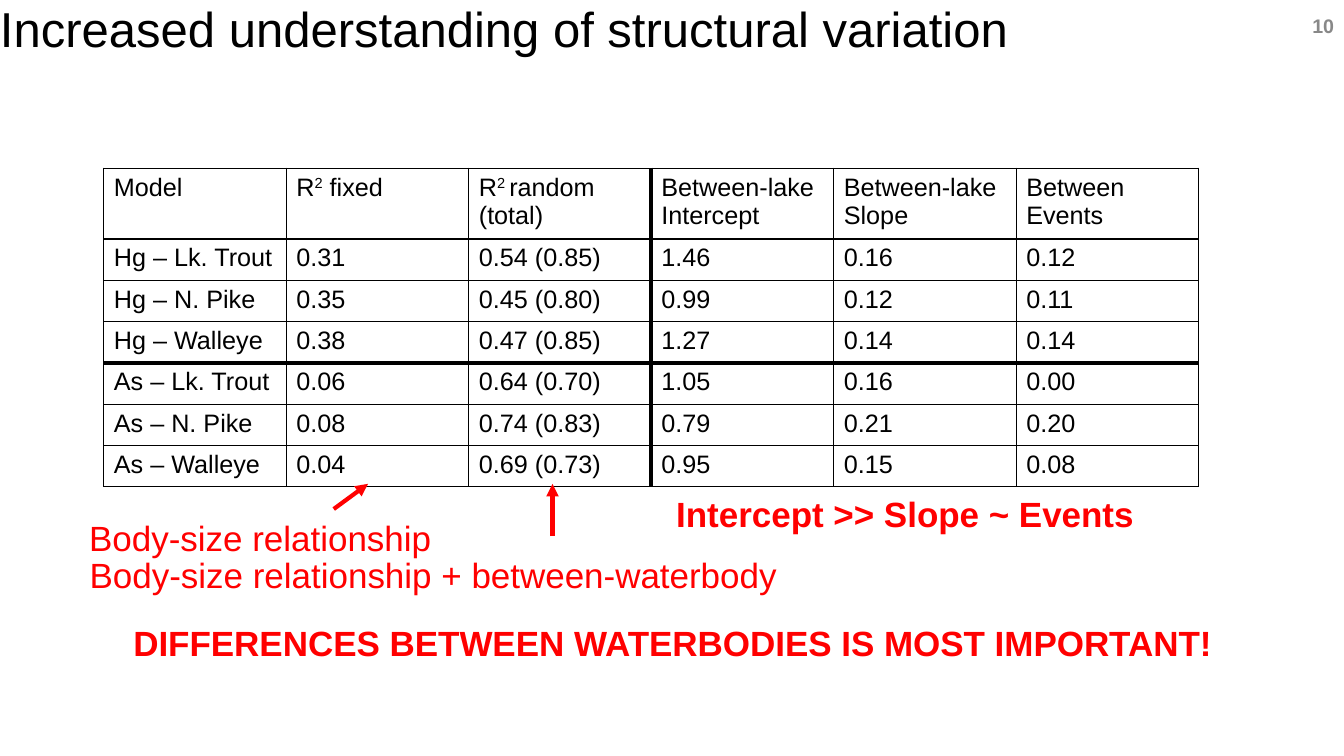
from lxml import etree
from pptx import Presentation
from pptx.dml.color import RGBColor
from pptx.enum.shapes import MSO_CONNECTOR
from pptx.enum.text import MSO_ANCHOR, PP_ALIGN
from pptx.oxml.ns import qn
from pptx.util import Inches, Pt

BLACK = RGBColor(0x00, 0x00, 0x00)
RED = RGBColor(0xFF, 0x00, 0x00)
GRAY = RGBColor(0x88, 0x88, 0x88)
FONT = "Arial"

# Content: text between carets is superscript, a line break starts a paragraph
TITLE = "Increased understanding of structural variation"
PAGE_NUMBER = "10"
MODEL_ROWS = [
    ("Model", "R^2^ fixed", "R^2 ^random (total)", "Between-lake\nIntercept",
     "Between-lake\nSlope", "Between\nEvents"),
    ("Hg – Lk. Trout", "0.31", "0.54 (0.85)", "1.46", "0.16", "0.12"),
    ("Hg – N. Pike", "0.35", "0.45 (0.80)", "0.99", "0.12", "0.11"),
    ("Hg – Walleye", "0.38", "0.47 (0.85)", "1.27", "0.14", "0.14"),
    ("As – Lk. Trout", "0.06", "0.64 (0.70)", "1.05", "0.16", "0.00"),
    ("As – N. Pike", "0.08", "0.74 (0.83)", "0.79", "0.21", "0.20"),
    ("As – Walleye", "0.04", "0.69 (0.73)", "0.95", "0.15", "0.08"),
]
# Text, (left, top, width, height), bold, line spacing
NOTES = [
    ("Body-size relationship", (0.6, 5.12, 3.96, 0.41), False, 0.9),
    ("Body-size relationship + between-waterbody", (0.22, 5.49, 8.15, 0.41), False, 0.9),
    ("Intercept >> Slope ~ Events", (6.08, 4.88, 5.79, 0.41), True, 0.9),
    ("DIFFERENCES BETWEEN WATERBODIES IS MOST IMPORTANT!", (1.07, 6.12, 11.2, 0.52), True, 1),
]
ARROWS = [((3.31, 5.05), (3.65, 4.8)), ((5.48, 5.32), (5.48, 4.8))]

# Table geometry; heavy rules follow these column and row indices
TABLE_LEFT, TABLE_TOP = 1.03, 1.67
COLUMN_WIDTH, HEADER_HEIGHT, ROW_HEIGHT = 1.81, 0.66, 0.41
HEAVY_COLUMN, HEAVY_ROW = 2, 3
THIN, HEAVY = 1, 3


def write(frame, text, size=25, color=RED, bold=False, align=PP_ALIGN.LEFT, spacing=1):
    frame.word_wrap = True
    for index, line in enumerate(text.split("\n")):
        para = frame.add_paragraph() if index else frame.paragraphs[0]
        para.alignment = align
        para.line_spacing = spacing
        for part, piece in enumerate(line.split("^")):
            span = para.add_run()
            span.text = piece
            span.font.name = FONT
            span.font.size = Pt(size)
            span.font.bold = bold
            span.font.color.rgb = color
            if part % 2:
                span._r.get_or_add_rPr().set("baseline", "30000")


def add_text(page, text, place, **style):
    box = page.shapes.add_textbox(*map(Inches, place))
    write(box.text_frame, text, **style)
    return box


def set_borders(cell, widths):
    properties = cell._tc.get_or_add_tcPr()
    for index, (side, width) in enumerate(widths.items()):
        line = etree.Element(qn(f"a:ln{side}"), w=str(Pt(width)))
        fill = etree.SubElement(line, qn("a:solidFill"))
        etree.SubElement(fill, qn("a:srgbClr"), val=str(BLACK))
        properties.insert(index, line)


def add_model_table(page):
    row_count, column_count = len(MODEL_ROWS), len(MODEL_ROWS[0])
    height = HEADER_HEIGHT + ROW_HEIGHT * (row_count - 1)
    table = page.shapes.add_table(
        row_count, column_count, Inches(TABLE_LEFT), Inches(TABLE_TOP),
        Inches(COLUMN_WIDTH * column_count), Inches(height)).table
    table.first_row = table.horz_banding = False
    for row, values in enumerate(MODEL_ROWS):
        table.rows[row].height = Inches(ROW_HEIGHT if row else HEADER_HEIGHT)
        for column, value in enumerate(values):
            cell = table.cell(row, column)
            cell.fill.background()
            write(cell.text_frame, value, size=18, color=BLACK)
            set_borders(cell, {
                "L": HEAVY if column == HEAVY_COLUMN + 1 else THIN,
                "R": HEAVY if column == HEAVY_COLUMN else THIN,
                "T": HEAVY if row == HEAVY_ROW + 1 else THIN,
                "B": HEAVY if row == HEAVY_ROW else THIN,
            })


def add_arrow(page, start, end):
    arrow = page.shapes.add_connector(MSO_CONNECTOR.STRAIGHT, *map(Inches, start + end))
    arrow.line.color.rgb = RED
    arrow.line.width = Pt(3)
    etree.SubElement(arrow.line._get_or_add_ln(), qn("a:tailEnd"), type="triangle")
    etree.SubElement(arrow._element.spPr, qn("a:effectLst"))


def main():
    deck = Presentation()
    deck.slide_width, deck.slide_height = Inches(13.33), Inches(7.5)
    page = deck.slides.add_slide(deck.slide_layouts[6])

    # Title and page number
    title = add_text(page, TITLE, (0, 0, 13.33, 1.08), size=35, color=BLACK, spacing=0.9)
    title.text_frame.margin_left = 0
    number = add_text(page, PAGE_NUMBER, (12.84, 0, 0.49, 0.5), size=14, color=GRAY,
                      bold=True, align=PP_ALIGN.RIGHT)
    number.text_frame.vertical_anchor = MSO_ANCHOR.MIDDLE

    # Model results
    add_model_table(page)

    # Red remarks and arrows
    for text, place, bold, spacing in NOTES:
        add_text(page, text, place, bold=bold, align=PP_ALIGN.CENTER, spacing=spacing)
    for start, end in ARROWS:
        add_arrow(page, start, end)

    deck.save("out.pptx")


if __name__ == "__main__":
    main()
